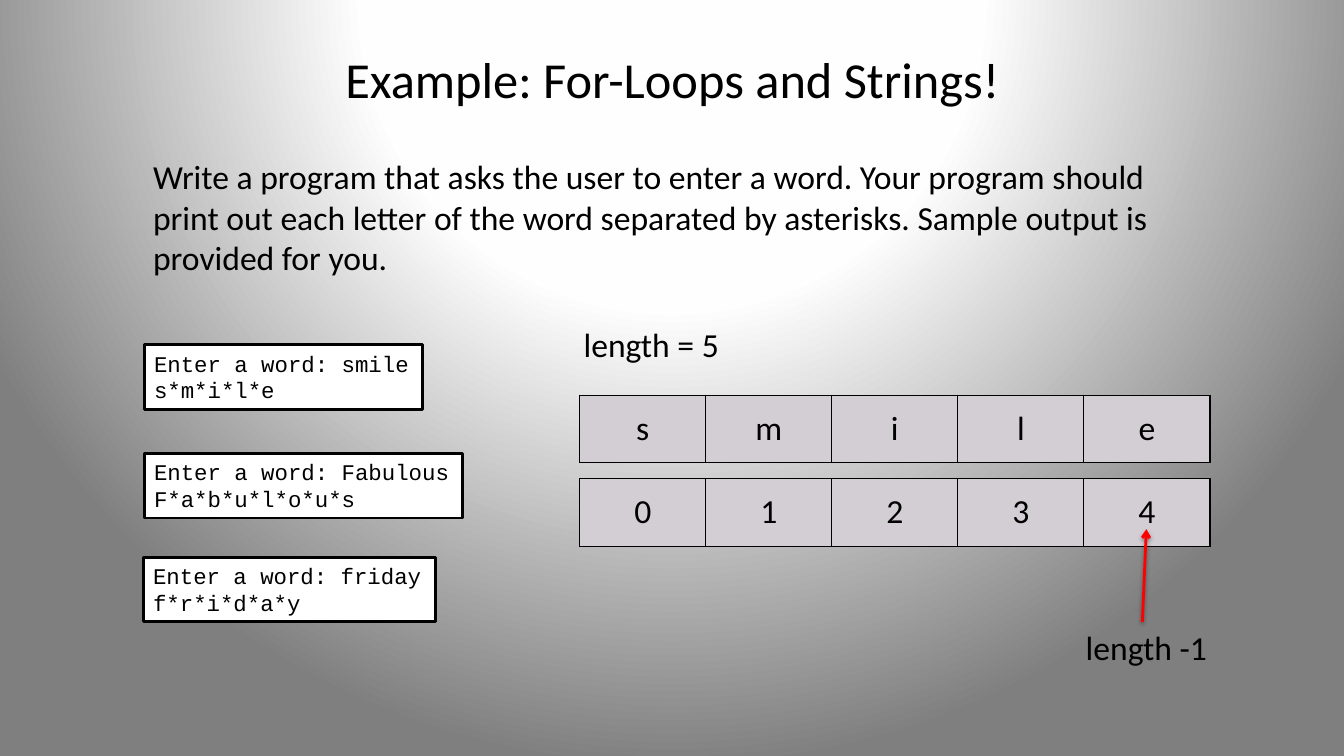
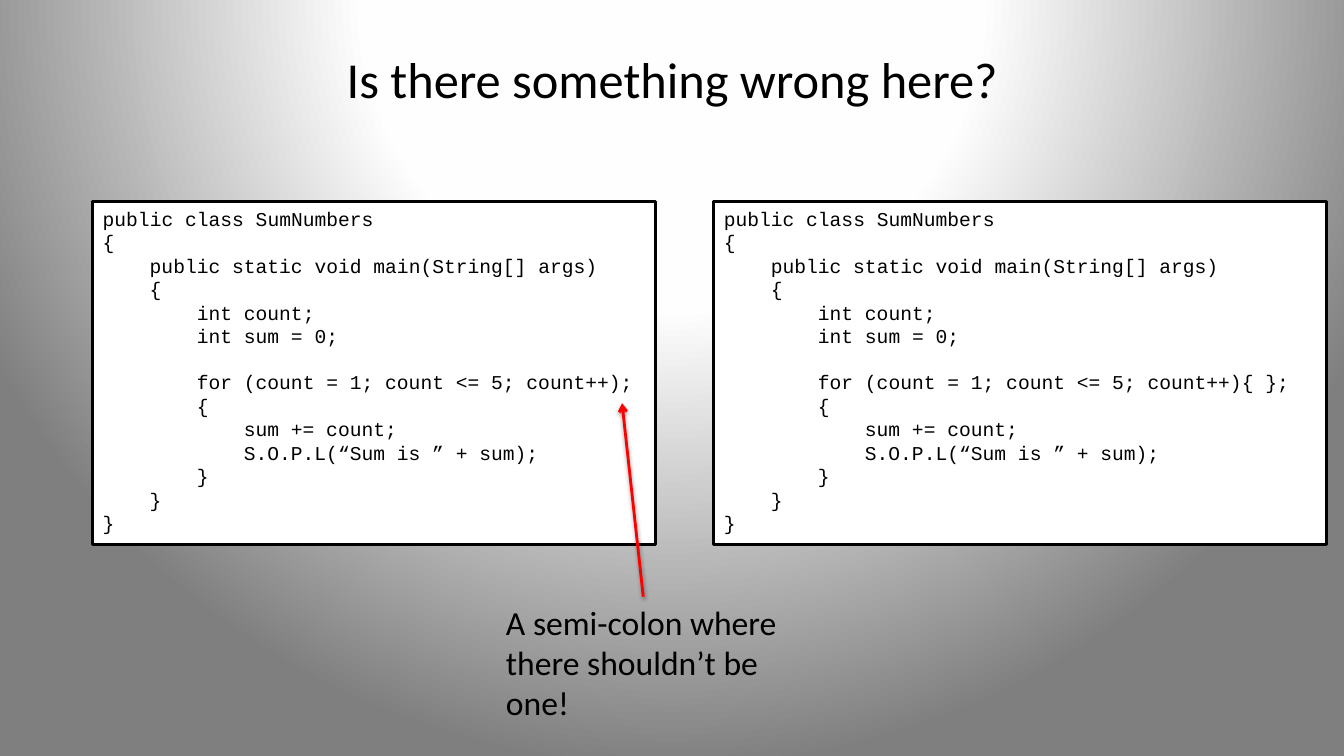
from lxml import etree
from pptx import Presentation
from pptx.dml.color import RGBColor
from pptx.enum.shapes import MSO_CONNECTOR
from pptx.enum.text import MSO_ANCHOR, MSO_AUTO_SIZE, PP_ALIGN
from pptx.oxml import parse_xml
from pptx.oxml.ns import nsdecls, qn
from pptx.util import Inches, Pt

COLORS = {
    "text": "000000",
    "box": "FFFFFF",
    "cell": "D3CED3",
    "arrow": "FF0000",
    "shadow": "000000",
}
GRADIENT = ((0, "FFFFFF"), (40, "FEFEFE"), (100, "7F7F7F"))
BODY_FONT = "Calibri"
CODE_FONT = "Courier New"
CODE_SIZE = 14
CODE_INDENT = Pt(CODE_SIZE * 0.6 * 4)
CODE_GAP = Pt(CODE_SIZE * 1.13)
STRAIGHT = MSO_CONNECTOR.STRAIGHT
MIDDLE = MSO_ANCHOR.MIDDLE
TOP = MSO_ANCHOR.TOP
CENTER = PP_ALIGN.CENTER
FIT_SHAPE = MSO_AUTO_SIZE.SHAPE_TO_FIT_TEXT

PROMPT = (
    "Write a program that asks the user to enter a word. Your program should\n"
    "print out each letter of the word separated by asterisks. Sample output is\n"
    "provided for you."
)
SAMPLES = (
    ("smile", 1.43, 3.42, 2.76),
    ("Fabulous", 1.43, 4.5, 3.16),
    ("friday", 1.42, 5.53, 2.9),
)


def rgb(name):
    """Return a palette colour."""
    return RGBColor.from_string(COLORS[name])


def set_background(master):
    """Give the master a circular gradient centred above the slide."""
    master.background.fill.gradient()
    stops = "".join(
        f'<a:gs pos="{pos * 1000}"><a:srgbClr val="{color}"/></a:gs>'
        for pos, color in GRADIENT
    )
    grad = parse_xml(
        f'<a:gradFill {nsdecls("a")} rotWithShape="1"><a:gsLst>{stops}</a:gsLst>'
        '<a:path path="circle"><a:fillToRect l="50000" t="-80000" r="50000" '
        'b="180000"/></a:path></a:gradFill>'
    )
    old = master.element.find(".//" + qn("a:gradFill"))
    old.getparent().replace(old, grad)


def format_text(tf, size, font=BODY_FONT, align=None):
    """Format every run of a text frame."""
    for p in tf.paragraphs:
        if align is not None:
            p.alignment = align
        for r in p.runs:
            r.font.size = Pt(size)
            r.font.name = font
            r.font.color.rgb = rgb("text")


def add_slide(prs, title):
    """Add a title-only slide with the shared title style."""
    slide = prs.slides.add_slide(prs.slide_layouts[5])
    sp = slide.shapes.title
    sp.left, sp.top = Inches(0.67), Inches(0.3)
    sp.width, sp.height = Inches(12), Inches(0.95)
    tf = sp.text_frame
    tf.text = title
    tf.vertical_anchor = MIDDLE
    format_text(tf, 36, align=CENTER)
    return slide


def add_text(slide, text, x, y, w, h, size=24, font=BODY_FONT, wrap=False):
    """Add a text box that grows with its text."""
    sp = slide.shapes.add_textbox(Inches(x), Inches(y), Inches(w), Inches(h))
    tf = sp.text_frame
    tf.text = text
    tf.word_wrap = wrap
    tf.auto_size = FIT_SHAPE
    tf.vertical_anchor = TOP
    format_text(tf, size, font)
    return sp


def add_code_box(slide, text, x, y, w, h, size=16, wrap=False):
    """Add a white outlined box of monospaced text."""
    sp = add_text(slide, text, x, y, w, h, size, CODE_FONT, wrap)
    sp.fill.solid()
    sp.fill.fore_color.rgb = rgb("box")
    sp.line.color.rgb = rgb("text")
    sp.line.width = Pt(2)
    return sp


def add_listing(slide, loop, x, w):
    """Add the program listing, with levels as paragraph indents."""
    lines = (
        (0, "public class SumNumbers"),
        (0, "{"),
        (1, "public static void main(String[] args)"),
        (1, "{"),
        (2, "int count;"),
        (2, "int sum = 0;"),
        (2, loop),
        (2, "{"),
        (3, "sum += count;"),
        (3, "S.O.P.L(“Sum is ” + sum);"),
        (2, "}"),
        (1, "}"),
        (0, "}"),
    )
    text = "\n".join(line for _, line in lines)
    sp = add_code_box(slide, text, x, 2, w, 3.4, CODE_SIZE, True)
    for p, (level, line) in zip(sp.text_frame.paragraphs, lines):
        pPr = p._p.get_or_add_pPr()
        pPr.set("marL", str(level * CODE_INDENT))
        pPr.set("indent", "0")
        if line == loop:
            p.space_before = CODE_GAP


def set_borders(cell):
    """Draw a thin line on all four sides of a cell."""
    tcPr = cell._tc.get_or_add_tcPr()
    for i, side in enumerate(("lnL", "lnR", "lnT", "lnB")):
        tcPr.insert(i, parse_xml(
            f'<a:{side} {nsdecls("a")} w="{Pt(1)}"><a:solidFill>'
            f'<a:srgbClr val="{COLORS["text"]}"/></a:solidFill></a:{side}>'
        ))


def add_row_table(slide, values, y):
    """Add a one-row table of equal cells."""
    frame = slide.shapes.add_table(
        1, len(values), Inches(5.75), Inches(y),
        Inches(1.25 * len(values)), Inches(0.67),
    )
    table = frame.table
    table.first_row = False
    table.horz_banding = False
    for cell, value in zip(table.iter_cells(), values):
        cell.text = value
        cell.vertical_anchor = MIDDLE
        cell.fill.solid()
        cell.fill.fore_color.rgb = rgb("cell")
        set_borders(cell)
        format_text(cell.text_frame, 24, align=CENTER)


def add_arrow(slide, x1, y1, x2, y2):
    """Add a red arrow with a soft shadow."""
    line = slide.shapes.add_connector(
        STRAIGHT, Inches(x1), Inches(y1), Inches(x2), Inches(y2)
    )
    line.line.color.rgb = rgb("arrow")
    line.line.width = Pt(2)
    etree.SubElement(line.line._get_or_add_ln(), qn("a:tailEnd"), type="arrow")
    line._element.spPr.append(parse_xml(
        f'<a:effectLst {nsdecls("a")}><a:outerShdw blurRad="{Pt(3.1)}" '
        f'dist="{Pt(1.6)}" dir="5400000" rotWithShape="0">'
        f'<a:srgbClr val="{COLORS["shadow"]}"><a:alpha val="38000"/></a:srgbClr>'
        '</a:outerShdw></a:effectLst>'
    ))
    return line


def build_strings_slide(prs):
    """Build the slide on loops over strings."""
    slide = add_slide(prs, "Example: For-Loops and Strings!")
    add_text(slide, PROMPT, 1.42, 1.5, 10.22, 1.31)
    for word, x, y, w in SAMPLES:
        text = f"Enter a word: {word}\n{'*'.join(word)}"
        add_code_box(slide, text, x, y, w, 0.64)
    add_row_table(slide, "smile", 3.92)
    add_row_table(slide, "01234", 4.75)
    add_text(slide, "length = 5", 5.69, 3.16, 1.56, 0.5)
    add_text(slide, "length -1", 10.67, 6.17, 1.42, 0.5)
    add_arrow(slide, 11.33, 6.17, 11.37, 5.25)


def build_error_slide(prs):
    """Build the slide on the misplaced semi-colon."""
    slide = add_slide(prs, "Is there something wrong here?")
    add_listing(slide, "for (count = 1; count <= 5; count++){ };", 7.08, 6.08)
    add_listing(slide, "for (count = 1; count <= 5; count++);", 0.92, 5.58)
    note = add_text(
        slide, "A semi-colon where\vthere shouldn’t be\vone!",
        4.92, 5.92, 2.92, 1.31,
    )
    arrow = add_arrow(slide, 6.38, 5.92, 6.17, 4)
    arrow.begin_connect(note, 0)


def main():
    """Build and save the presentation."""
    prs = Presentation()
    prs.slide_width, prs.slide_height = Inches(13.33), Inches(7.5)
    set_background(prs.slide_master)
    build_strings_slide(prs)
    build_error_slide(prs)
    prs.save("out.pptx")


if __name__ == "__main__":
    main()
